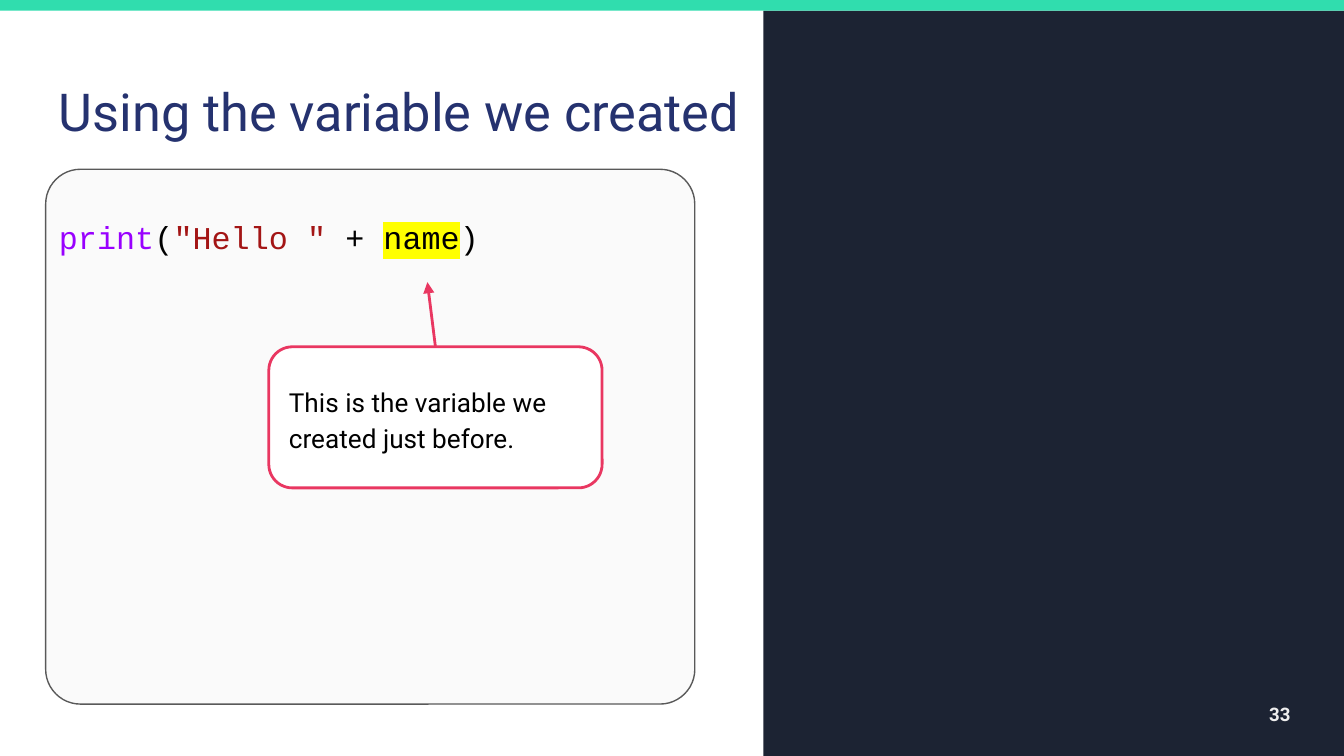
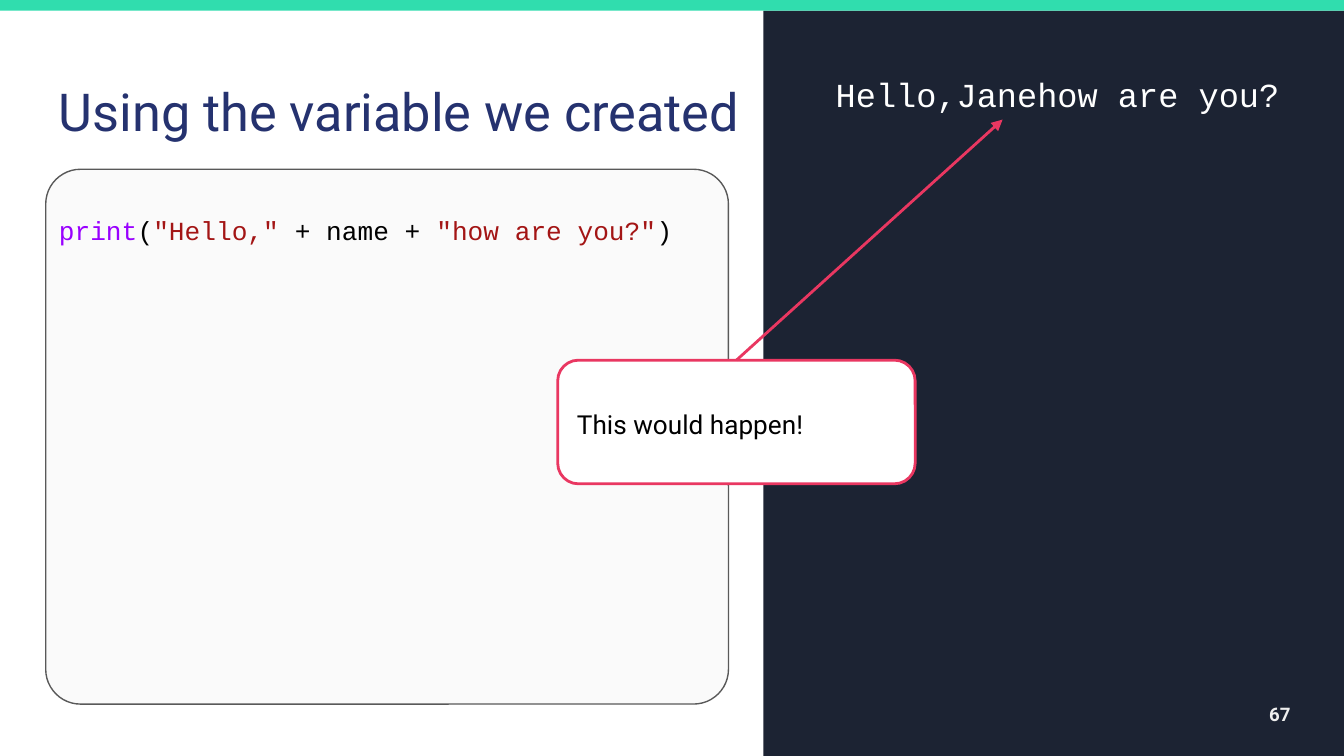
from dataclasses import dataclass

from lxml import etree
from pptx import Presentation
from pptx.dml.color import RGBColor
from pptx.enum.shapes import MSO_CONNECTOR, MSO_SHAPE
from pptx.enum.text import MSO_ANCHOR, PP_ALIGN
from pptx.oxml.ns import qn
from pptx.util import Inches, Pt

RECT, ROUNDED = MSO_SHAPE.RECTANGLE, MSO_SHAPE.ROUNDED_RECTANGLE
STRAIGHT = MSO_CONNECTOR.STRAIGHT
LEFT, RIGHT = PP_ALIGN.LEFT, PP_ALIGN.RIGHT
TOP, MIDDLE = MSO_ANCHOR.TOP, MSO_ANCHOR.MIDDLE

WHITE = RGBColor(0xFF, 0xFF, 0xFF)
BLACK = RGBColor(0x00, 0x00, 0x00)
TEAL = RGBColor(0x30, 0xDD, 0xAE)
NIGHT = RGBColor(0x1C, 0x23, 0x33)
NAVY = RGBColor(0x25, 0x32, 0x6F)
PAPER = RGBColor(0xFA, 0xFA, 0xFA)
GRAPHITE = RGBColor(0x59, 0x59, 0x59)
MIST = RGBColor(0xEE, 0xEE, 0xEE)
PINK = RGBColor(0xE9, 0x37, 0x61)
KEYWORD = RGBColor(0x99, 0x00, 0xFF)
STRING = RGBColor(0xA3, 0x15, 0x15)
MARKER = RGBColor(0xFF, 0xFF, 0x00)

BODY_FONT, CODE_FONT = "Roboto", "Courier New"
TITLE = "Using the variable we created"
INSET = 0.1
CODE_TOP = 0.53
ACCENT_WIDTH = 1.5


@dataclass
class Box:
    left: int
    top: int
    width: int
    height: int

    def point(self, x, y):
        """Point at x, y percent of this box."""
        return self.left + int(self.width * x / 100), self.top + int(self.height * y / 100)

    def area(self, x, y, w, h):
        """Box whose place and size are percentages of this one."""
        return Box(*self.point(x, y), int(self.width * w / 100), int(self.height * h / 100))

    def bounds(self):
        return self.left, self.top, self.width, self.height


PAGE = Box(0, 0, Inches(10), Inches(5.625))
BAND = PAGE.area(-0.1, 0, 100.2, 1.42)
HEADING = PAGE.area(3.4, 8.71, 53.4, 11.2)
CONSOLE = PAGE.area(56.8, 1.42, 43.3, 98.84)


def write(frame, runs, size, font=BODY_FONT, bold=False, align=LEFT,
          anchor=TOP, spacing=None, top=INSET):
    """Fill a text frame with one paragraph of (text, colour[, highlight]) runs."""
    frame.word_wrap = True
    frame.vertical_anchor = anchor
    frame.margin_left = frame.margin_right = frame.margin_bottom = Inches(INSET)
    frame.margin_top = Inches(top)
    paragraph = frame.paragraphs[0]
    paragraph.alignment = align
    if spacing:
        paragraph.line_spacing = spacing
    for text, color, *highlight in runs:
        run = paragraph.add_run()
        run.text = text
        run.font.size, run.font.bold = Pt(size), bold
        run.font.color.rgb = color
        for marker in highlight:
            mark = etree.SubElement(run.font._element, qn("a:highlight"))
            etree.SubElement(mark, qn("a:srgbClr"), val=str(marker))
        run.font.name = font


def add_text(slide, box, runs, size, **style):
    write(slide.shapes.add_textbox(*box.bounds()).text_frame, runs, size, **style)


def add_panel(slide, box, fill, kind=RECT, corner=None, line=None, line_width=0.75):
    panel = slide.shapes.add_shape(kind, *box.bounds())
    panel.shadow.inherit = False
    panel.fill.solid()
    panel.fill.fore_color.rgb = fill
    if corner:
        panel.adjustments[0] = corner
    if line:
        panel.line.color.rgb = line
        panel.line.width = Pt(line_width)
    else:
        panel.line.fill.background()
    return panel


def add_heading(slide, box):
    add_text(slide, box, [(TITLE, NAVY)], 28)


def add_console(slide, box, number, output=None):
    """Dark pane with the program's output and the page number."""
    add_panel(slide, box, NIGHT)
    add_text(slide, box.area(78.98, 90.29, 13.86, 7.73), [(number, MIST)], 10,
             bold=True, align=RIGHT, anchor=MIDDLE)
    if output:
        add_text(slide, box.area(10.16, 6.65, 90.07, 71.58), [(output, WHITE)], 18,
                 font=CODE_FONT)


def add_editor(slide, box, code, size, text_width=100):
    """Rounded code panel."""
    add_panel(slide, box, PAPER, ROUNDED, 0.065, GRAPHITE)
    add_text(slide, box.area(0, 0, text_width, 100), code, size,
             font=CODE_FONT, top=CODE_TOP)


def add_callout(slide, box, note, target):
    """Note with an arrow from its top to the target point."""
    callout = add_panel(slide, box, WHITE, ROUNDED, 0.167, PINK, ACCENT_WIDTH)
    write(callout.text_frame, [(note, BLACK)], 14, anchor=MIDDLE, spacing=1.15)
    arrow = slide.shapes.add_connector(STRAIGHT, *box.point(50, 0), *target)
    arrow.begin_connect(callout, 0)
    arrow.line.color.rgb = PINK
    arrow.line.width = Pt(ACCENT_WIDTH)
    etree.SubElement(arrow.line._get_or_add_ln(), qn("a:tailEnd"), type="triangle")
    etree.SubElement(arrow._element.spPr, qn("a:effectLst"))


def add_code_slide(deck, number, output=None):
    """Slide with the shared band, heading and console."""
    slide = deck.slides.add_slide(deck.slide_layouts[6])
    slide.background.fill.solid()
    slide.background.fill.fore_color.rgb = WHITE
    add_console(slide, CONSOLE, number, output)
    add_heading(slide, HEADING)
    add_panel(slide, BAND, TEAL)
    return slide


def main():
    deck = Presentation()
    deck.slide_width, deck.slide_height = PAGE.width, PAGE.height

    # The variable in use
    usage = add_code_slide(deck, "33")
    add_editor(usage, PAGE.area(3.4, 22.4, 48.3, 70.75), [
        ("print", KEYWORD), ("(", BLACK), ('"Hello " ', STRING), ("+ ", BLACK),
        ("name", BLACK, MARKER), (")", BLACK)], 17, text_width=103.3)
    add_callout(usage, PAGE.area(20, 45.87, 24.8, 18.67),
                "This is the variable we created just before.", PAGE.point(31.8, 37.33))

    # The output without spaces
    result = add_code_slide(deck, "67", "Hello,Janehow are you?")
    add_editor(result, PAGE.area(3.4, 22.4, 50.8, 70.75), [
        ("print", KEYWORD), ("(", BLACK), ('"Hello," ', STRING), ("+ name + ", BLACK),
        ('"how are you?"', STRING), (")", BLACK)], 14)
    add_callout(result, PAGE.area(41.5, 47.64, 26.6, 16.36),
                "This would happen!", PAGE.point(74.6, 15.82))

    deck.save("out.pptx")


if __name__ == "__main__":
    main()
